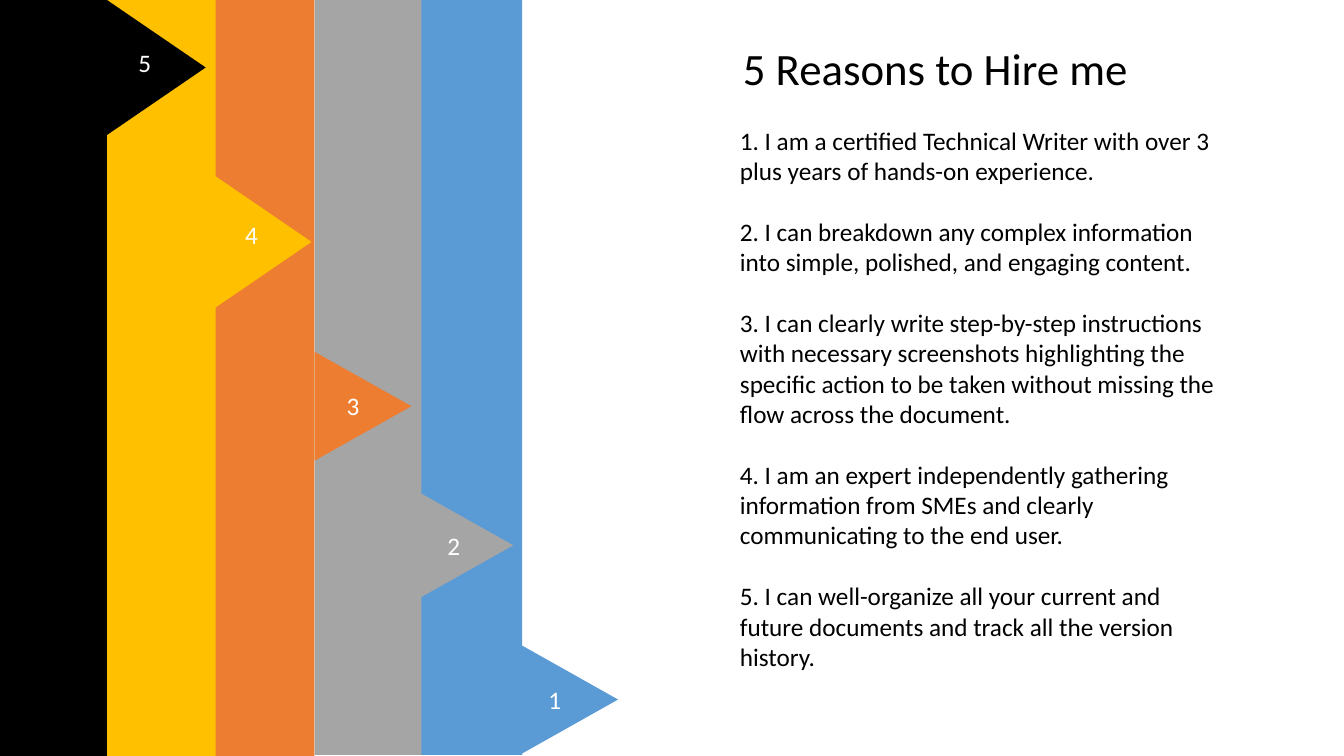
"""Build the "5 Reasons to Hire me" slide with stepped colour bands."""
from pptx import Presentation
from pptx.dml.color import RGBColor
from pptx.enum.shapes import MSO_SHAPE
from pptx.enum.text import MSO_ANCHOR, PP_ALIGN
from pptx.util import Pt

PX = 9144
FONT = "Calibri"
BLACK = RGBColor(0x00, 0x00, 0x00)
WHITE = RGBColor(0xFF, 0xFF, 0xFF)
BLUE = RGBColor(0x5B, 0x9B, 0xD5)
GREY = RGBColor(0xA5, 0xA5, 0xA5)
ORANGE = RGBColor(0xED, 0x7D, 0x31)
YELLOW = RGBColor(0xFF, 0xC0, 0x00)

BANDS = [
    (BLUE, (412, -1, 106, 750), (517, 640, 96, 108)),
    (GREY, (312, -1, 106, 750), (413, 487, 96, 108)),
    (ORANGE, (206, 0, 106, 750), (312, 349, 96, 108)),
    (YELLOW, (106, 0, 108, 750), (211, 173, 98, 134)),
    (BLACK, (0, 0, 106, 750), (106, 0, 98, 134)),
]
LABELS = [
    ("2", GREY, (429, 521, 42, 40)),
    ("3", ORANGE, (329, 382, 42, 40)),
    ("4", YELLOW, (228, 215, 43, 36)),
    ("5", BLACK, (122, 42, 43, 40)),
]
REASONS = [
    "1. I am a certified Technical Writer with over 3 plus years of hands-on experience.",
    "2. I can breakdown any complex information into simple, polished, and engaging content.",
    "3. I can clearly write step-by-step instructions with necessary screenshots "
    "highlighting the specific action to be taken without missing the flow across the document.",
    "4. I am an expert independently gathering information from SMEs and clearly "
    "communicating to the end user.",
    "5. I can well-organize all your current and future documents and track all the "
    "version history.",
]


def scale(frame):
    return [length * PX for length in frame]


def style_text(para, size, color):
    for span in para.runs:
        span.font.name = FONT
        span.font.size = Pt(size)
        span.font.color.rgb = color


def add_block(page, kind, frame, color):
    block = page.shapes.add_shape(kind, *scale(frame))
    block.shadow.inherit = False
    block.fill.solid()
    block.fill.fore_color.rgb = color
    block.line.fill.background()
    return block


def add_pointer(page, frame, color):
    left, top, depth, height = frame
    shift = (height - depth) // 2
    upright = (left - shift, top + shift, height, depth)
    add_block(page, MSO_SHAPE.ISOSCELES_TRIANGLE, upright, color).rotation = 90


def add_label(page, text, color, frame):
    label = add_block(page, MSO_SHAPE.RECTANGLE, frame, color)
    label.text_frame.text = text
    label.text_frame.vertical_anchor = MSO_ANCHOR.MIDDLE
    para = label.text_frame.paragraphs[0]
    para.alignment = PP_ALIGN.CENTER
    style_text(para, 18, WHITE)


def add_text(page, frame, lines, size, color, gap=0):
    box = page.shapes.add_textbox(*scale(frame))
    box.text_frame.word_wrap = True
    box.text_frame.text = "\n".join(lines)
    for index, para in enumerate(box.text_frame.paragraphs):
        if index:
            para.space_before = Pt(gap)
        style_text(para, size, color)


def main():
    deck = Presentation()
    deck.slide_width, deck.slide_height = scale((1333, 750))
    page = deck.slides.add_slide(deck.slide_layouts[6])
    for color, bar, pointer in BANDS:
        add_block(page, MSO_SHAPE.RECTANGLE, bar, color)
        add_pointer(page, pointer, color)
    add_text(page, (534, 674, 44, 40), ["1"], 18, WHITE)
    for label in LABELS:
        add_label(page, *label)
    add_text(page, (727, 35, 483, 64), ["5 Reasons to Hire me"], 32, BLACK)
    add_text(page, (724, 119, 491, 555), REASONS, 18, BLACK, gap=22)
    deck.save("out.pptx")


if __name__ == "__main__":
    main()
